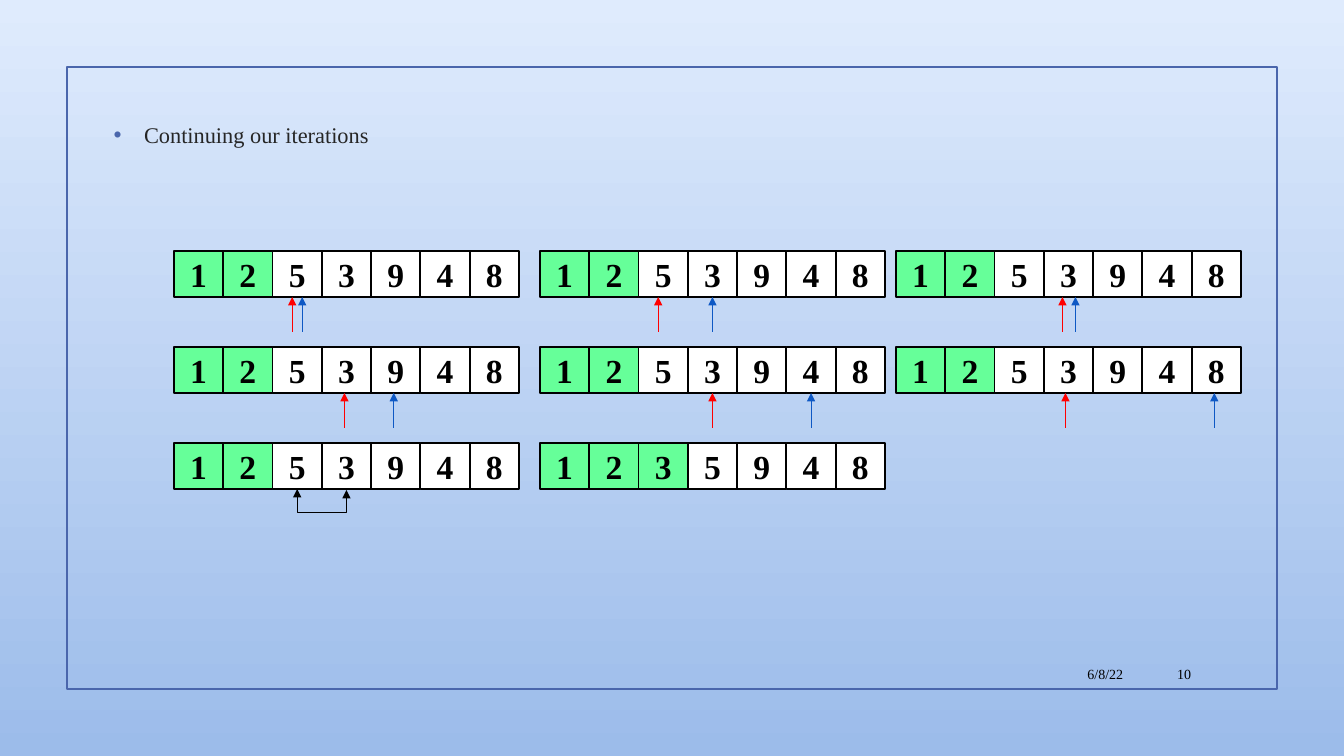
from lxml.etree import SubElement
from pptx import Presentation
from pptx.dml.color import RGBColor
from pptx.enum.shapes import MSO_CONNECTOR, MSO_SHAPE
from pptx.enum.text import MSO_ANCHOR, MSO_AUTO_SIZE, PP_ALIGN
from pptx.oxml.ns import qn
from pptx.util import Emu, Pt

SLIDE_W, SLIDE_H = 1344, 756
EMU_PER_PX = 12192000 / SLIDE_W
FONT = "Times New Roman"
COLORS = {
    "sky_top": "DFEBFD", "sky_bottom": "9CBCEA", "frame": "4A66AC",
    "body": "262626", "black": "000000", "white": "FFFFFF",
    "sorted": "66FF99", "minimum": "FF0000", "scan": "0E58C4",
}
ROW_W, ROW_H, ROW_PITCH = 345, 46, 96
CELL_W = ROW_W / 7
POINTER_LEN, SWAP_DEPTH = 35, 24
COLUMNS = (174, 540, 896)
START = "1253948"
# Each step: digits, sorted count, (cell, px off its middle) for minimum and scan
STEPS = [
    [(START, 2, ((2, -5), (2, 5))), (START, 2, ((2, -5), (3, 0))),
     (START, 2, ((3, -6), (3, 7)))],
    [(START, 2, ((3, -2), (4, -2))), (START, 2, ((3, 0), (5, 0))),
     (START, 2, ((3, -3), (6, -2)))],
    [(START, 2, ()), ("1235948", 3, ())],
]


def px(n):
    return Emu(round(n * EMU_PER_PX))


def rgb(name):
    return RGBColor.from_string(COLORS[name])


def write(tf, text, size, color="black", bold=False, align=PP_ALIGN.LEFT,
          anchor=MSO_ANCHOR.MIDDLE):
    tf.word_wrap = True
    tf.vertical_anchor = anchor
    p = tf.paragraphs[0]
    p.alignment = align
    r = p.add_run()
    r.text = text
    r.font.name, r.font.size, r.font.bold = FONT, Pt(size), bold
    r.font.color.rgb = rgb(color)
    return p


def add_rect(slide, x, y, w, h, line, fill=None):
    sp = slide.shapes.add_shape(MSO_SHAPE.RECTANGLE, px(x), px(y), px(w), px(h))
    sp.shadow.inherit = False
    if fill:
        sp.fill.solid()
        sp.fill.fore_color.rgb = rgb(fill)
    else:
        sp.fill.background()
    sp.line.color.rgb = rgb(line)
    sp.line.width = Pt(1.25)
    return sp


def add_arrow(slide, kind, x1, y1, x2, y2, color, ends=("tailEnd",)):
    cxn = slide.shapes.add_connector(kind, px(x1), px(y1), px(x2), px(y2))
    cxn.line.color.rgb = rgb(color)
    cxn.line.width = Pt(0.75)
    ln = cxn.line._get_or_add_ln()
    for end in ends:
        SubElement(ln, qn("a:" + end), type="triangle")
    SubElement(cxn._element.spPr, qn("a:effectLst"))
    return cxn


def add_backdrop(slide, x, y, w, h):
    fill = slide.background.fill
    fill.gradient()
    fill.gradient_angle = 270
    for stop, pos, name in zip(fill.gradient_stops, (0, 1), ("sky_top", "sky_bottom")):
        stop.position = pos
        stop.color.rgb = rgb(name)
    add_rect(slide, x, y, w, h, "frame")


def fill_body(slide, x, y, w, h):
    body = slide.placeholders[1]
    body.left, body.top, body.width, body.height = px(x), px(y), px(w), px(h)
    tf = body.text_frame
    tf.auto_size = MSO_AUTO_SIZE.NONE
    p = write(tf, "Continuing our iterations", 16, "body", anchor=MSO_ANCHOR.TOP)
    p.space_before, p.space_after = Pt(3), Pt(6)
    pPr = p._p.get_or_add_pPr()
    pPr.set("marL", str(px(31)))
    pPr.set("indent", str(px(-31)))
    SubElement(SubElement(pPr, qn("a:buClr")), qn("a:srgbClr"), val=COLORS["frame"])
    SubElement(pPr, qn("a:buSzPct"), val="115000")
    SubElement(pPr, qn("a:buFont"), typeface=FONT)
    SubElement(pPr, qn("a:buChar"), char="•")


def add_array(slide, x, y, digits, sorted_count, pointers):
    cells = []
    for i, digit in enumerate(digits):
        fill = "sorted" if i < sorted_count else "white"
        sp = add_rect(slide, x + i * CELL_W, y, CELL_W, ROW_H, "black", fill)
        tf = sp.text_frame
        tf.margin_left = tf.margin_right = 0
        write(tf, digit, 24, bold=True, align=PP_ALIGN.CENTER)
        cells.append(sp)
    bottom = y + ROW_H
    for (i, shift), color in zip(pointers, ("minimum", "scan")):
        tip = x + (i + 0.5) * CELL_W + shift
        cxn = add_arrow(slide, MSO_CONNECTOR.STRAIGHT, tip, bottom + POINTER_LEN,
                        tip, bottom, color)
        if shift == 0:
            cxn.end_connect(cells[i], 2)


def add_swap(slide, x, y, w):
    """Draw a U-shaped double arrow hanging below y, by turning an elbow 270°."""
    left, top = x + w / 2 - 0.5, y - w / 2 + 0.5
    cxn = add_arrow(slide, MSO_CONNECTOR.ELBOW, left, top, left + 1, top + w,
                    "black", ("headEnd", "tailEnd"))
    spPr = cxn._element.spPr
    xfrm = spPr.find(qn("a:xfrm"))
    xfrm.set("rot", "16200000")
    xfrm.set("flipH", "1")
    geom = spPr.find(qn("a:prstGeom"))
    av = geom.find(qn("a:avLst"))
    if av is None:
        av = SubElement(geom, qn("a:avLst"))
    SubElement(av, qn("a:gd"), name="adj1", fmla=f"val {SWAP_DEPTH * 100000}")


def add_steps(slide, y):
    for row, steps in enumerate(STEPS):
        for x, step in zip(COLUMNS, steps):
            add_array(slide, x, y + row * ROW_PITCH, *step)
    last_bottom = y + (len(STEPS) - 1) * ROW_PITCH + ROW_H
    add_swap(slide, COLUMNS[0] + 2.5 * CELL_W, last_bottom, CELL_W)


def add_footer(slide, y, h):
    for text, x, w in (("6/8/22", 957, 176), ("10", 1141, 60)):
        tb = slide.shapes.add_textbox(px(x), px(y), px(w), px(h))
        write(tb.text_frame, text, 10, align=PP_ALIGN.RIGHT)


def main():
    prs = Presentation()
    prs.slide_width, prs.slide_height = px(SLIDE_W), px(SLIDE_H)
    slide = prs.slides.add_slide(prs.slide_layouts[1])
    title = slide.shapes.title._element
    title.getparent().remove(title)
    add_backdrop(slide, 67, 67, 1210, 622)
    fill_body(slide, 103, 116, 1058, 366)
    add_steps(slide, 251)
    add_footer(slide, 658, 31)
    prs.save("out.pptx")


if __name__ == "__main__":
    main()
